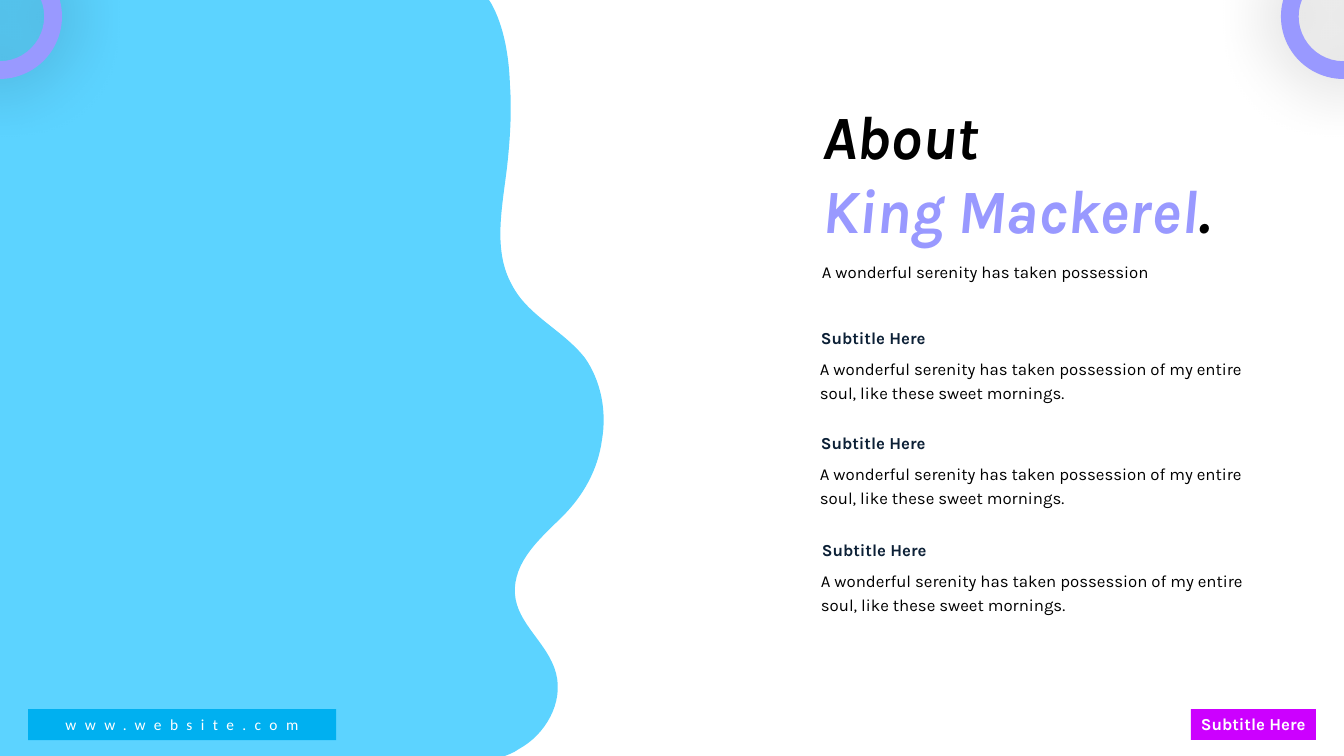
from dataclasses import dataclass

from lxml import etree
from pptx import Presentation
from pptx import util as u
from pptx.dml.color import RGBColor
from pptx.enum import shapes, text
from pptx.oxml.ns import qn

PX = 914400 / 100.8


@dataclass(frozen=True)
class Theme:
    font: str = "Karla"
    web_font: str = "Calibri"
    ink: str = "000000"
    navy: str = "0C2036"
    white: str = "FFFFFF"
    violet: str = "9999FF"
    sky: str = "5CD3FF"
    blue: str = "00B0F0"
    magenta: str = "CC00FF"
    title: int = 44
    body: int = 12
    web: int = 11


T = Theme()
LEAD = "A wonderful serenity has taken possession"
SUBTITLE = "Subtitle Here"
DETAIL = LEAD + " of my entire soul, like these sweet mornings."
WAVE = [
    ((513, 753), (516, 751), (519, 749)),
    ((545, 735), (564, 703), (556, 673)),
    ((548, 643), (517, 624), (515, 594)),
    ((513, 561), (541, 538), (563, 516)),
    ((583, 496), (598, 470), (602, 440)),
    ((607, 411), (601, 381), (585, 358)),
    ((563, 330), (528, 316), (512, 285)),
    ((493, 251), (502, 209), (507, 168)),
    ((510, 141), (512, 112), (510, 85)),
    ((509, 56), (504, 26), (491, 3)),
]


def emu(*lengths):
    return [u.Emu(round(n * PX)) for n in lengths]


def paint(sp, color):
    sp.shadow.inherit = False
    sp.fill.solid()
    sp.fill.fore_color.rgb = RGBColor.from_string(color)
    sp.line.fill.background()


def add_run(p, words, size, color, bold=False, italic=False, font=T.font):
    r = p.add_run()
    r.text = words
    r.font.name, r.font.size = font, u.Pt(size)
    r.font.bold, r.font.italic = bold, italic
    r.font.color.rgb = RGBColor.from_string(color)
    return r


def add_text(s, box, words, color, spacing, bold=False):
    tf = s.shapes.add_textbox(*emu(*box)).text_frame
    tf.word_wrap = True
    p = tf.paragraphs[0]
    p.line_spacing = spacing
    add_run(p, words, T.body, color, bold)


def bend(line, controls):
    line.tag = qn("a:cubicBezTo")
    for i, (x, y) in enumerate(controls):
        line.insert(i, line.makeelement(qn("a:pt"), {"x": str(x), "y": str(y)}))


def add_wave(s, box):
    x, y, w, h = box
    ends = [end for _, _, end in WAVE]
    fb = s.shapes.build_freeform(0, h, scale=PX)
    fb.add_line_segments([(505, h), (510, 754), *ends, (489, 0), (0, 0)])
    sp = fb.convert_to_shape(*emu(x, y))
    outline = next(sp._element.iter(qn("a:path")))
    outline.set("w", str(w))
    sp.width = emu(w)[0]
    lines = outline.findall(qn("a:lnTo"))[2:]
    for line, (a, b, _) in zip(lines, WAVE):
        bend(line, (a, b))
    paint(sp, T.sky)


def add_heading(s, box):
    x, y, w, h = box
    sp = s.shapes.title
    sp.left, sp.top, sp.width, sp.height = emu(x, y, w, 159)
    tf = sp.text_frame
    tf.word_wrap = True
    tf.auto_size = text.MSO_AUTO_SIZE.NONE
    tf.vertical_anchor = text.MSO_ANCHOR.TOP
    lines = [[("About", T.ink)], [("King Mackerel", T.violet), (".", T.ink)]]
    for i, line in enumerate(lines):
        p = tf.add_paragraph() if i else tf.paragraphs[0]
        p.alignment = text.PP_ALIGN.LEFT
        for words, color in line:
            add_run(p, words, T.title, color, bold=True, italic=True)
    add_text(s, (x, y + 154, 446, h - 154), LEAD, T.ink, 1.5)


def add_item(s, box):
    x, y, w, h = box
    add_text(s, (x + 1, y, 127, 34), SUBTITLE, T.navy, 1.3, bold=True)
    add_text(s, (x, y + 33, w, h - 33), DETAIL, T.ink, 1.2)


def add_tag(s, box):
    sp = s.shapes.add_shape(shapes.MSO_SHAPE.RECTANGLE, *emu(*box))
    paint(sp, T.magenta)
    tf = sp.text_frame
    tf.word_wrap = False
    tf.vertical_anchor = text.MSO_ANCHOR.TOP
    p = tf.paragraphs[0]
    p.alignment = text.PP_ALIGN.LEFT
    add_run(p, SUBTITLE, T.body, T.white, bold=True)


def add_website(s, box):
    sp = s.shapes.add_shape(shapes.MSO_SHAPE.ROUNDED_RECTANGLE, *emu(*box))
    sp.adjustments[0] = 0
    paint(sp, T.blue)
    tf = sp.text_frame
    tf.vertical_anchor = text.MSO_ANCHOR.MIDDLE
    p = tf.paragraphs[0]
    p.alignment = text.PP_ALIGN.CENTER
    r = add_run(p, "www.website.com", T.web, T.white, font=T.web_font)
    r.font._element.set("spc", "600")


def add_ring(s, box):
    sp = s.shapes.add_shape(shapes.MSO_SHAPE.DONUT, *emu(*box))
    sp.adjustments[0] = 0.142
    paint(sp, T.violet)
    effects = sp._element.spPr.find(qn("a:effectLst"))
    shadow = etree.SubElement(effects, qn("a:outerShdw"), blurRad=str(u.Pt(49)),
                              dist="0", dir="0", algn="ctr", rotWithShape="0")
    color = etree.SubElement(shadow, qn("a:srgbClr"), val=T.ink)
    etree.SubElement(color, qn("a:alpha"), val="33000")


def main():
    prs = Presentation()
    prs.slide_width, prs.slide_height = emu(1344, 756)
    s = prs.slides.add_slide(prs.slide_layouts[5])
    add_wave(s, (0, 0, 604, 756))
    add_heading(s, (812, 93, 526, 191))
    for left, top in ((810, 317), (810, 422), (811, 529)):
        add_item(s, (left, top, 444, 90))
    add_tag(s, (1191, 709, 125, 31))
    add_website(s, (28, 709, 308, 31))
    for center in (0, 1344):
        add_ring(s, (center - 63, -46, 125, 125))
    prs.save("out.pptx")


if __name__ == "__main__":
    main()
